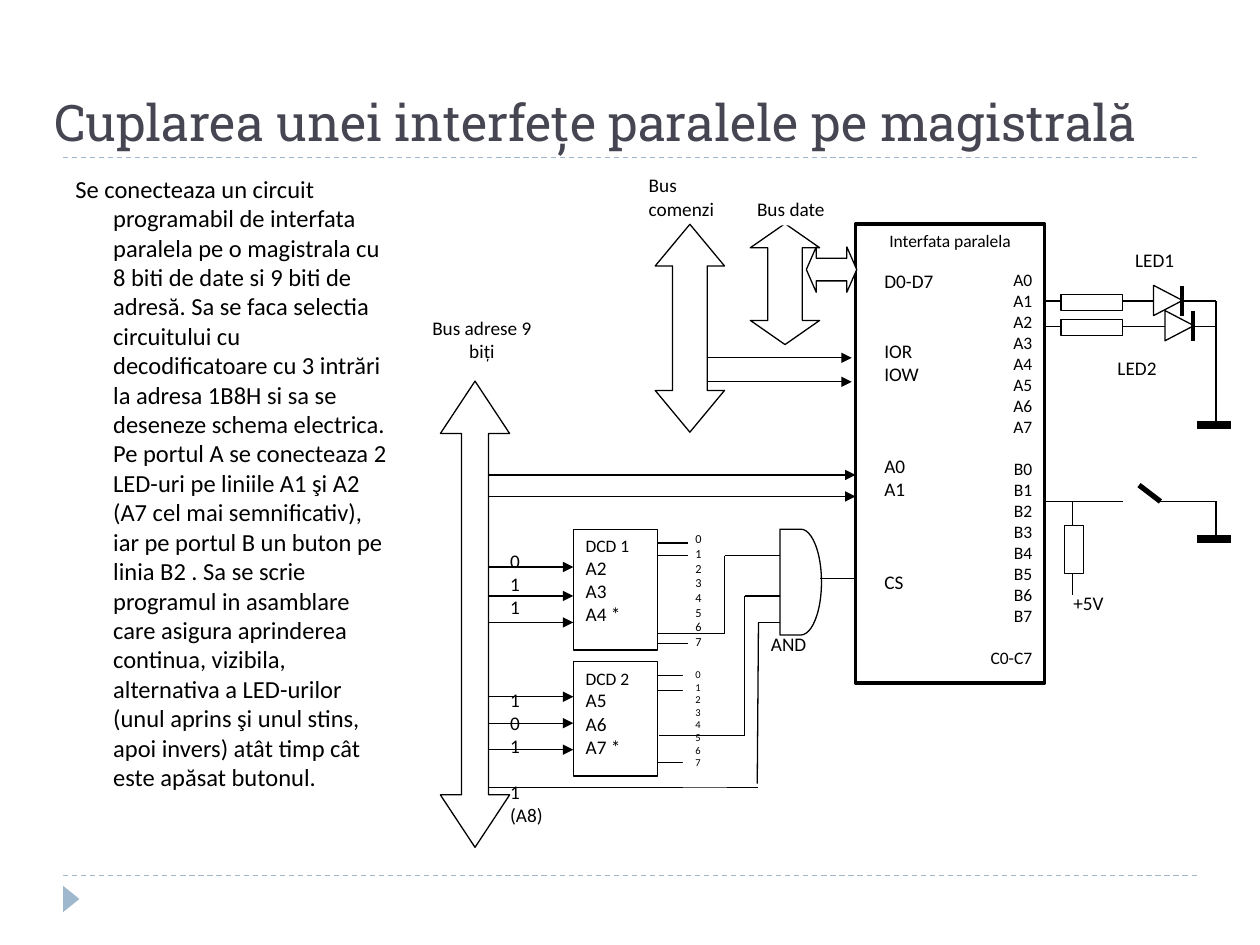
from lxml.etree import SubElement
from pptx import Presentation
from pptx.dml.color import RGBColor
from pptx.enum.dml import MSO_LINE
from pptx.enum.shapes import MSO_CONNECTOR, MSO_SHAPE
from pptx.enum.text import MSO_ANCHOR, PP_ALIGN
from pptx.oxml.ns import qn
from pptx.util import Inches, Pt

COLUMNS, ROWS = 100, 75
WIDTH, HEIGHT = Inches(10), Inches(7.5)
BLACK, WHITE, ACCENT, TITLE = "000000", "FFFFFF", "9FB8CD", "464653"
LINE_HEIGHT = 1.2
THIN = 0.75
BODY = (
    "Se conecteaza un circuit programabil de interfata paralela pe o magistrala cu "
    "8 biti de date si 9 biti de adresă. Sa se faca selectia circuitului cu "
    "decodificatoare cu 3 intrări la adresa 1B8H si sa se deseneze schema electrica. "
    "Pe portul A se conecteaza 2 LED-uri pe liniile A1 şi A2 (A7 cel mai semnificativ), "
    "iar pe portul B un buton pe linia B2 . Sa se scrie programul in asamblare care "
    "asigura aprinderea continua, vizibila, alternativa a LED-urilor (unul aprins şi "
    "unul stins, apoi invers) atât timp cât este apăsat butonul."
)


def across(column):
    return round(column * WIDTH / COLUMNS)


def down(row):
    return round(row * HEIGHT / ROWS)


def frame(left, top, width, height):
    return across(left), down(top), across(width), down(height)


def color(value):
    return RGBColor.from_string(value)


def add_span(para, text, size, font="Calibri", ink=BLACK):
    span = para.add_run()
    span.text = text
    span.font.name = font
    span.font.size = Pt(size)
    span.font.color.rgb = color(ink)


def add_shape(slide, kind, place, fill=WHITE, line=THIN, turn=0, adjust=()):
    shape = slide.shapes.add_shape(kind, *frame(*place))
    shape.shadow.inherit = False
    shape.rotation = turn
    shape.fill.solid()
    shape.fill.fore_color.rgb = color(fill)
    if line:
        shape.line.color.rgb = color(BLACK)
        shape.line.width = Pt(line)
    else:
        shape.line.fill.background()
    for index, value in enumerate(adjust):
        shape.adjustments[index] = value
    return shape


def add_text(slide, place, groups, align=PP_ALIGN.LEFT, line=0):
    box = add_shape(slide, MSO_SHAPE.RECTANGLE, place, line=line)
    text = box.text_frame
    text.word_wrap = True
    text.vertical_anchor = MSO_ANCHOR.TOP
    para = text.paragraphs[0]
    for order, (size, gap, lines) in enumerate(groups):
        for number, words in enumerate(lines):
            if order or number:
                para = text.add_paragraph()
            para.alignment = align
            if order and not number:
                para.space_before = Pt(gap)
            add_span(para, words, size)
    return box


def add_label(slide, place, words, align=PP_ALIGN.LEFT):
    add_text(slide, place, [(11, 0, [words])], align)


def add_line(slide, start, end, width=THIN, ink=BLACK, arrow=False, dash=False):
    line = slide.shapes.add_connector(
        MSO_CONNECTOR.STRAIGHT,
        across(start[0]), down(start[1]), across(end[0]), down(end[1]),
    )
    line.line.color.rgb = color(ink)
    line.line.width = Pt(width)
    if dash:
        line.line.dash_style = MSO_LINE.DASH
    if arrow:
        SubElement(line.line._get_or_add_ln(), qn("a:tailEnd"), type="triangle")
    SubElement(line._element.spPr, qn("a:effectLst"))


def add_route(slide, *points):
    for start, end in zip(points, points[1:]):
        add_line(slide, start, end)


def add_levels(slide, left, right, rows, arrow=False):
    for row in rows:
        add_line(slide, (left, row), (right, row), arrow=arrow)


def add_bus(slide, place, head, turn=90, shaft=0.5):
    add_shape(slide, MSO_SHAPE.LEFT_RIGHT_ARROW, place, turn=turn, adjust=(shaft, head))


def pins(port, first=0, last=7):
    return [f"{port}{number}" for number in range(first, last + 1)]


def add_heading(slide):
    for row in (69.5, 12.5):
        add_line(slide, (5, row), (95, row), ink=ACCENT, dash=True)
    add_shape(slide, MSO_SHAPE.ISOSCELES_TRIANGLE, (4.6, 70.7, 2.1, 1.3), ACCENT, 0, 90)
    title = slide.shapes.title
    title.left, title.top, title.width, title.height = frame(3.3, 1.7, 94.2, 10.8)
    title.text_frame.vertical_anchor = MSO_ANCHOR.BOTTOM
    para = title.text_frame.paragraphs[0]
    para.alignment = PP_ALIGN.LEFT
    add_span(para, "Cuplarea unei interfețe paralele pe magistrală", 28.8, "Roboto Slab", TITLE)


def add_body(slide):
    box = slide.shapes.add_textbox(*frame(5, 13.3, 26.7, 53.3))
    box.text_frame.word_wrap = True
    para = box.text_frame.paragraphs[0]
    properties = para._p.get_or_add_pPr()
    properties.set("marL", str(across(3)))
    properties.set("indent", str(-across(3)))
    add_span(para, BODY, 14)


def add_interface(slide):
    gap = 10 * LINE_HEIGHT
    box = add_text(slide, (67.9, 17.8, 15, 36.4), [
        (10, 0, ["Interfata paralela"]), (10, 10, pins("A")),
        (10, gap, pins("B")), (10, gap, ["C0-C7"]),
    ], PP_ALIGN.RIGHT, 2.25)
    box.text_frame.paragraphs[0].alignment = PP_ALIGN.CENTER


def add_ports(slide):
    add_levels(slide, 82.9, 96.5, (23.9, 25.9))
    add_route(slide, (96.5, 23.9), (96.5, 33.7))
    add_label(slide, (89.1, 19.2, 6.9, 3.1), "LED1")
    add_label(slide, (87.7, 27.8, 7.1, 3.1), "LED2")
    add_route(slide, (82.9, 39.8), (89.1, 39.8))
    add_line(slide, (90.4, 38.5), (92.1, 39.8), 3)
    add_route(slide, (92.1, 39.8), (96.5, 39.8), (96.5, 42.8))
    for row in (33.7, 42.8):
        add_line(slide, (95, row), (97.7, row), 4.5)
    add_label(slide, (84.2, 46.4, 7, 3.6), "+5V")
    for left, top in ((91.5, 22.7), (92.4, 24.7)):
        add_shape(slide, MSO_SHAPE.RECTANGLE, (84.2, top + 0.65, 4.9, 1.3))
        add_shape(slide, MSO_SHAPE.ISOSCELES_TRIANGLE, (left, top, 2.4, 2.3), turn=90)
        add_line(slide, (left + 2.3, top), (left + 2.3, top + 2.4), 2.25)
    add_route(slide, (85.1, 39.8), (85.1, 47.2))
    add_shape(slide, MSO_SHAPE.RECTANGLE, (84.5, 41.7, 1.5, 3.8))


def add_buses(slide):
    add_bus(slide, (57.5, 19.8, 9.6, 5.5), 0.348)
    add_bus(slide, (64, 19.6, 4, 3.6), 0.218, turn=0)
    signals = (["D0-D7"], ["IOR", "IOW"], ["A0", "A1"], ["CS"])
    gaps = [11 * LINE_HEIGHT * blank for blank in (0, 2, 3, 3)]
    add_text(slide, (69.2, 20.9, 7.9, 27.2), [(11, gap, names) for gap, names in zip(gaps, signals)])
    add_label(slide, (50.5, 13.3, 8.5, 4.6), "Bus comenzi")
    add_label(slide, (59.1, 15.2, 8.5, 2.7), "Bus date")
    add_bus(slide, (46.5, 23.3, 16.5, 5.5), 0.602)
    add_levels(slide, 56.1, 67.6, (28.4, 30.3), True)
    add_levels(slide, 38.3, 67.9, (37.7, 39.4), True)
    add_label(slide, (32.5, 24.6, 11.5, 4.6), "Bus adrese 9 biți", PP_ALIGN.CENTER)


def add_decoder(slide, name, place, inputs):
    add_text(slide, place, [(10, 0, [name]), (11, 0, inputs)], line=THIN)


def add_decoders(slide):
    add_levels(slide, 38.3, 45.5, (45, 47.3, 49.4), True)
    add_levels(slide, 38.6, 45.5, (55.3, 57.4, 59.5), True)
    add_shape(slide, MSO_SHAPE.FLOWCHART_DELAY, (61.9, 42, 3.3, 8.4))
    add_route(slide, (65.1, 45.9), (67.9, 45.9))
    add_decoder(slide, "DCD 2", (45.5, 52.5, 6.7, 9.1), ["A5", "A6", "A7 *"])
    add_levels(slide, 52.2, 54.6, (53.6, 54.8, 60.5))
    add_route(slide, (38.3, 62.5), (60.2, 62.5))
    add_route(slide, (60.1, 62.2), (60.2, 49.4), (61.9, 49.4))
    add_bus(slide, (19.2, 46, 37, 5.5), 0.757, shaft=0.389)
    add_text(slide, (54.2, 41.7, 3.5, 20.8), [
        (7, 0, pins("")), (6, 9 * LINE_HEIGHT, pins("")),
    ])
    add_decoder(slide, "DCD 1", (45.5, 42, 6.7, 9.6), ["A2", "A3", "A4 *"])
    add_levels(slide, 52.2, 54.6, (43.1, 44.1, 51.1))
    add_route(slide, (52.2, 50.3), (57.5, 50.3), (57.5, 44.1), (61.9, 44.1))
    add_route(slide, (52.3, 58.4), (59.1, 58.4), (59.1, 47.3), (61.9, 47.3))


def main():
    deck = Presentation()
    deck.slide_width, deck.slide_height = WIDTH, HEIGHT
    page = deck.slides.add_slide(deck.slide_layouts[5])
    add_heading(page)
    add_body(page)
    blank = 11 * LINE_HEIGHT
    add_text(page, (39.5, 43.1, 5.3, 23.6), [
        (11, 0, ["0", "1", "1"]), (11, 3 * blank, ["1", "0", "1"]), (11, blank, ["1 (A8)"]),
    ])
    add_label(page, (60.2, 49.7, 8, 3.9), "AND")
    add_interface(page)
    add_ports(page)
    add_buses(page)
    add_decoders(page)
    deck.save("out.pptx")


if __name__ == "__main__":
    main()
